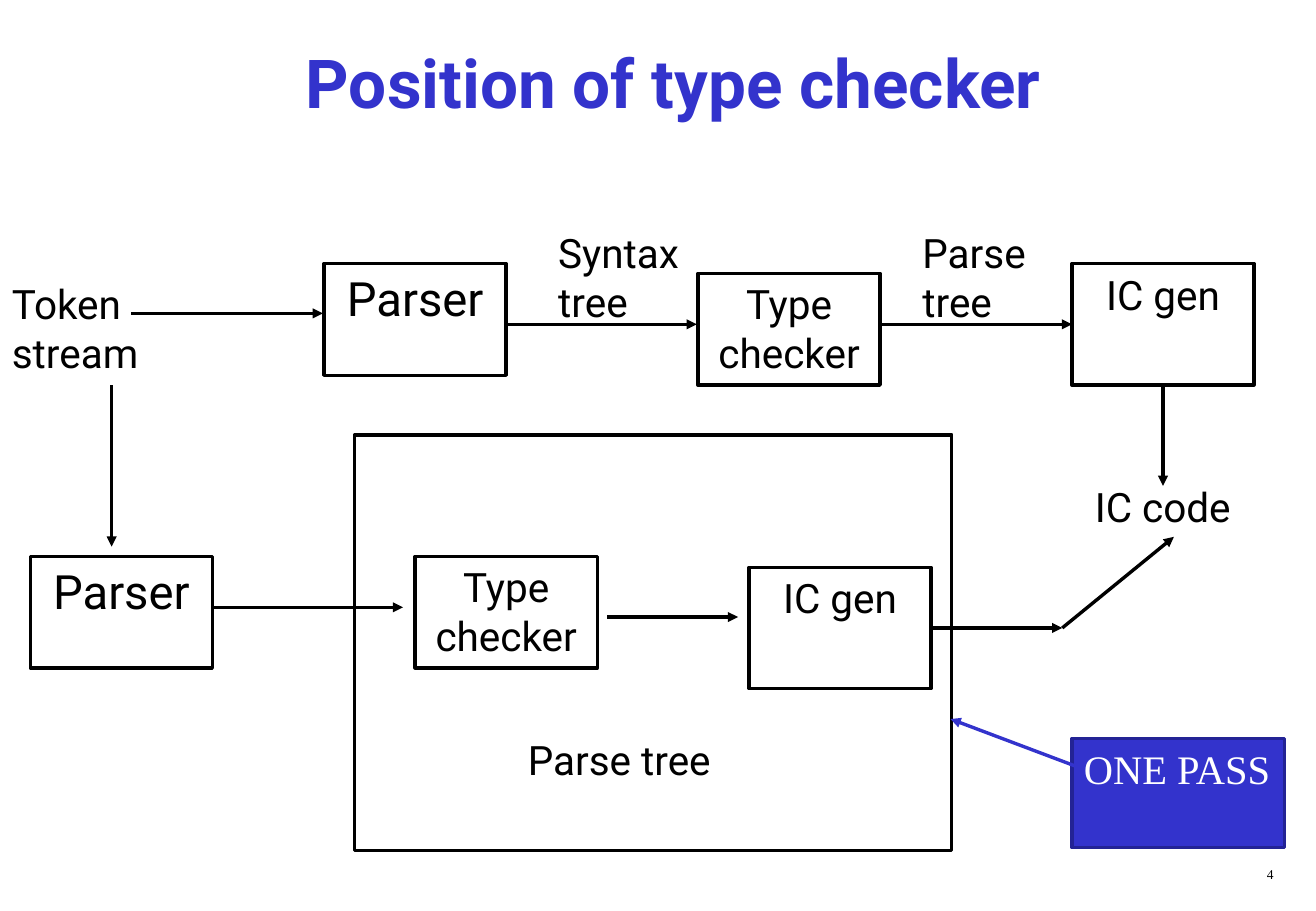
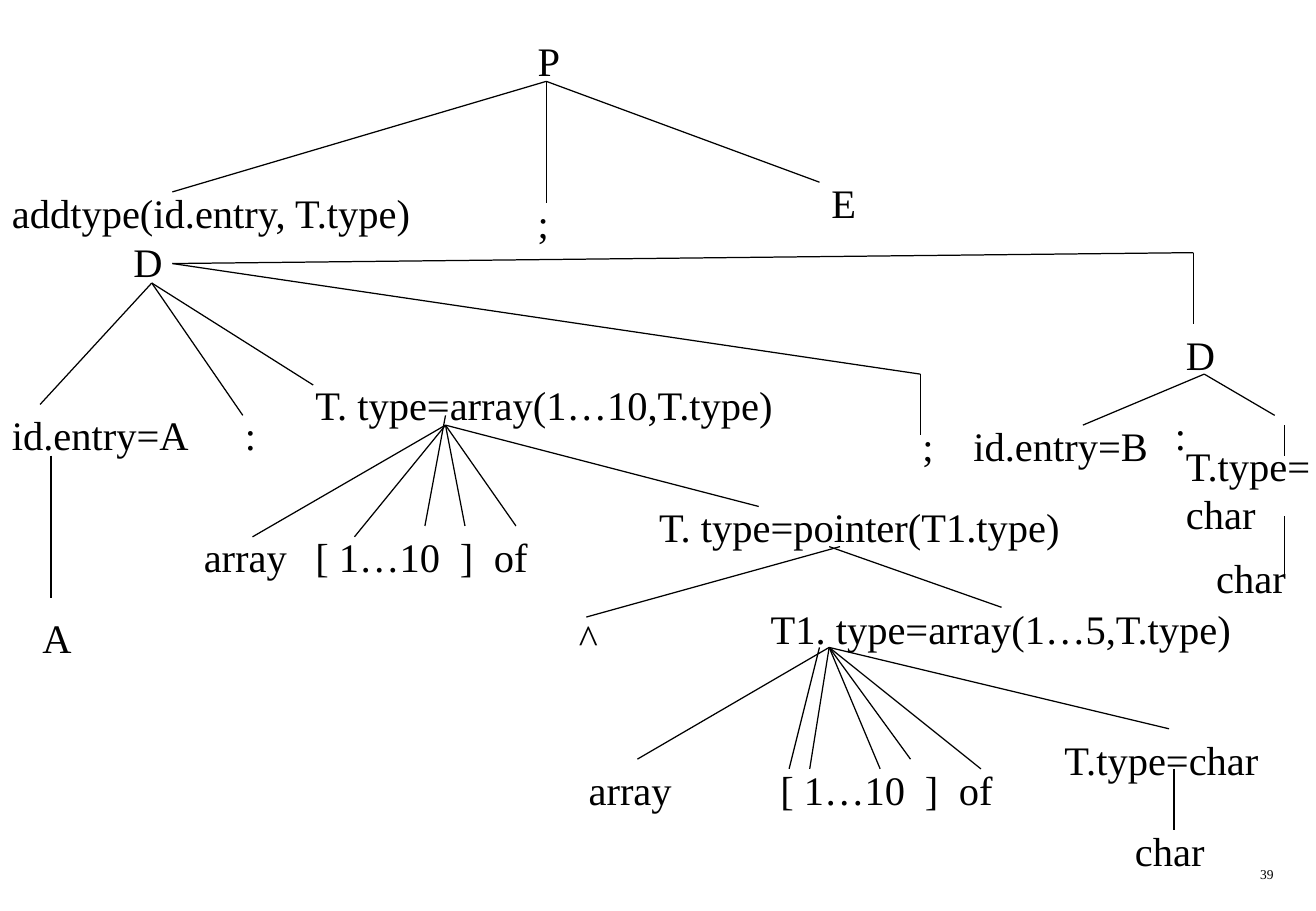
from lxml.etree import SubElement
from pptx import Presentation
from pptx.dml.color import RGBColor
from pptx.enum.shapes import MSO_CONNECTOR, MSO_SHAPE
from pptx.enum.text import MSO_ANCHOR, PP_ALIGN
from pptx.oxml.ns import qn
from pptx.util import Inches, Pt

BLACK = RGBColor(0x00, 0x00, 0x00)
WHITE = RGBColor(0xFF, 0xFF, 0xFF)
BLUE = RGBColor(0x33, 0x33, 0xCC)
DARK_BLUE = RGBColor(0x23, 0x23, 0x95)
SANS, SERIF = "Roboto", "Times New Roman"

TITLE = "Position of type checker"
TITLE_AREA = (0.42, 0.17, 10.25, 1)
NUMBER_AREA = (8.33, 7.08, 2.26, 0.25)

# Key: text, size, (left, top, width, height); the frame comes before what it holds
STAGES = {
    "parser": ("Parser", 28, (2.67, 2.17, 1.5, 0.92)),
    "checker": ("Type checker", 24, (5.75, 2.25, 1.5, 0.92)),
    "ic_gen": ("IC gen", 24, (8.83, 2.17, 1.5, 1)),
    "one_pass_parser": ("Parser", 28, (0.25, 4.58, 1.5, 0.92)),
    "one_pass_frame": ("", 24, (2.92, 3.58, 4.92, 3.42)),
    "one_pass_checker": ("Type checker", 24, (3.42, 4.58, 1.5, 0.92)),
    "one_pass_ic_gen": ("IC gen", 24, (6.17, 4.67, 1.5, 1)),
}
FLOW_LABELS = [
    ("Token stream", (0, 2.25, 1.33, 0.9)),
    ("Syntax tree", (4.5, 1.83, 1.33, 0.9)),
    ("Parse tree", (7.5, 1.83, 1.33, 0.9)),
    ("IC code", (8.92, 3.92, 1.33, 0.5)),
    ("Parse tree", (4.25, 6, 2, 0.5)),
]
ONE_PASS = ("ONE PASS", (8.83, 6.08, 1.75, 0.9))
ONE_PASS_POINTER = ((8.92, 6.33), (7.83, 5.92))

# Start, end, joined start and joined end as (stage, side)
TOP, LEFT, BOTTOM, RIGHT = range(4)
FLOW_ARROWS = [
    ((1.08, 2.58), (2.66, 2.58), None, None),
    ((4.17, 2.67), (5.74, 2.67), None, None),
    ((7.25, 2.67), (8.83, 2.67), None, ("ic_gen", LEFT)),
    ((9.58, 3.17), (9.58, 4), ("ic_gen", BOTTOM), None),
    ((0.92, 3.17), (0.92, 4.5), None, None),
    ((1.75, 5), (3.32, 5), None, None),
    ((5, 5.08), (6.08, 5.08), None, None),
    ((7.67, 5.17), (8.75, 5.17), ("one_pass_ic_gen", RIGHT), None),
    ((8.75, 5.17), (9.67, 4.42), None, None),
]

# Text, left, top, width
NODE_HEIGHT = 0.5
ARRAY_BOUNDS = "[ 1…10\t]\tof"
BOUNDS_TABS = (1.19, 1.47)
NODES = [
    ("P", 4.33, 0.25, 1.25),
    ("addtype(id.entry, T.type)", 0, 1.5, 3.92),
    ("D", 1, 1.9, 0.5),
    (";", 4.33, 1.58, 1.25),
    ("E", 6.75, 1.42, 1.25),
    ("id.entry=A", 0, 3.33, 1.83),
    ("A", 0.25, 5, 1),
    (":", 1.92, 3.33, 0.5),
    ("T. type=array(1…10,T.type)", 2.5, 3.08, 4.08),
    ("array", 1.58, 4.33, 1.25),
    (ARRAY_BOUNDS, 2.5, 4.33, 2.33),
    ("T. type=pointer(T1.type)", 5.33, 4.08, 4.08),
    ("^", 4.67, 5, 1.25),
    ("T1. type=array(1…5,T.type)", 6.25, 4.92, 4.33),
    ("array", 4.75, 6.25, 1.25),
    (ARRAY_BOUNDS, 6.33, 6.25, 2.33),
    ("T.type=char", 8.67, 6, 1.92),
    ("char", 9.25, 6.75, 1.25),
    (";", 7.5, 3.42, 0.5),
    ("D", 9.67, 2.67, 0.75),
    ("id.entry=B", 7.92, 3.42, 1.83),
    (":", 9.58, 3.33, 0.5),
    ("T.type=\nchar", 9.67, 3.58, 1.25),
    ("char", 9.92, 4.5, 0.9),
]
# Each parent point with the points its branches reach
BRANCHES = [
    ((4.5, 0.67), [(1.42, 1.58), (4.5, 1.67), (6.75, 1.5)]),
    ((1.25, 2.33), [(0.33, 3.33), (2, 3.42), (2.58, 3.17)]),
    ((0.42, 3.75), [(0.42, 4.92)]),
    ((3.67, 3.5), [(2.08, 4.42), (2.92, 4.42), (3.83, 4.33), (4.25, 4.33),
                   (6.25, 4.17)]),
    ((3.67, 3.42), [(3.5, 4.33)]),
    ((6.83, 4.5), [(8.25, 5)]),
    ((6.92, 4.5), [(4.83, 5.08)]),
    ((6.83, 5.33), [(5.25, 6.25), (6.67, 6.33), (7.25, 6.33), (7.5, 6.25),
                    (8.08, 6.33), (9.63, 6)]),
    ((6.75, 5.33), [(6.5, 6.33)]),
    ((9.67, 6.33), [(9.67, 6.83)]),
    ((1.42, 2.17), [(7.58, 3.08), (9.83, 2.08)]),
    ((7.58, 3.08), [(7.58, 3.58)]),
    ((9.83, 2.08), [(9.83, 2.67)]),
    ((9.92, 3.08), [(8.92, 3.5), (10.5, 3.42)]),
    ((10.58, 3.5), [(10.58, 3.75)]),
    ((10.58, 4.25), [(10.58, 4.75)]),
]


def write(shape, text, font, size, color=BLACK, align=PP_ALIGN.LEFT,
          anchor=MSO_ANCHOR.TOP, bold=False, tabs=()):
    frame = shape.text_frame
    frame.word_wrap = True
    frame.vertical_anchor = anchor
    frame.text = text
    for paragraph in frame.paragraphs:
        paragraph.alignment = align
        if tabs:
            stops = SubElement(paragraph._p.get_or_add_pPr(), qn("a:tabLst"))
            for position in tabs:
                SubElement(stops, qn("a:tab"), pos=str(Inches(position)), algn="l")
        paragraph.font.name = font
        paragraph.font.size = Pt(size)
        paragraph.font.bold = bold
        paragraph.font.color.rgb = color


def add_label(slide, text, area, font, size, **style):
    label = slide.shapes.add_textbox(*map(Inches, area))
    write(label, text, font, size, **style)


def add_box(slide, area, fill=WHITE, outline=BLACK):
    box = slide.shapes.add_shape(MSO_SHAPE.RECTANGLE, *map(Inches, area))
    box.shadow.inherit = False
    box.fill.solid()
    box.fill.fore_color.rgb = fill
    box.line.color.rgb = outline
    box.line.width = Pt(2)
    return box


def add_line(slide, start, end, width=0.75, color=BLACK, arrow=False):
    line = slide.shapes.add_connector(
        MSO_CONNECTOR.STRAIGHT, *map(Inches, start + end))
    line.line.color.rgb = color
    line.line.width = Pt(width)
    if arrow:
        SubElement(line.line._get_or_add_ln(), qn("a:tailEnd"), type="triangle")
    SubElement(line._element.spPr, qn("a:effectLst"))
    return line


def add_numbered_slide(deck, number):
    slide = deck.slides.add_slide(deck.slide_layouts[6])
    add_label(slide, str(number), NUMBER_AREA, SERIF, 8, align=PP_ALIGN.RIGHT)
    return slide


def build_flow(slide):
    add_label(slide, TITLE, TITLE_AREA, SANS, 40, color=BLUE, bold=True,
              align=PP_ALIGN.CENTER, anchor=MSO_ANCHOR.MIDDLE)
    stages = {}
    for key, (text, size, area) in STAGES.items():
        stages[key] = add_box(slide, area)
        if text:
            write(stages[key], text, SANS, size, align=PP_ALIGN.CENTER)
    for text, area in FLOW_LABELS:
        add_label(slide, text, area, SANS, 24)
    for start, end, source, target in FLOW_ARROWS:
        arrow = add_line(slide, start, end, width=2, arrow=True)
        if source:
            arrow.begin_connect(stages[source[0]], source[1])
        if target:
            arrow.end_connect(stages[target[0]], target[1])
    text, area = ONE_PASS
    write(add_box(slide, area, BLUE, DARK_BLUE), text, SERIF, 24, color=WHITE)
    add_line(slide, *ONE_PASS_POINTER, width=2, color=BLUE, arrow=True)


def build_tree(slide):
    for text, left, top, width in NODES:
        add_label(slide, text, (left, top, width, NODE_HEIGHT), SERIF, 24,
                  tabs=BOUNDS_TABS if text == ARRAY_BOUNDS else ())
    for parent, children in BRANCHES:
        for child in children:
            add_line(slide, parent, child)


def main():
    deck = Presentation()
    deck.slide_width, deck.slide_height = Inches(10.84), Inches(7.5)
    build_flow(add_numbered_slide(deck, 4))
    build_tree(add_numbered_slide(deck, 39))
    deck.save("out.pptx")


if __name__ == "__main__":
    main()
